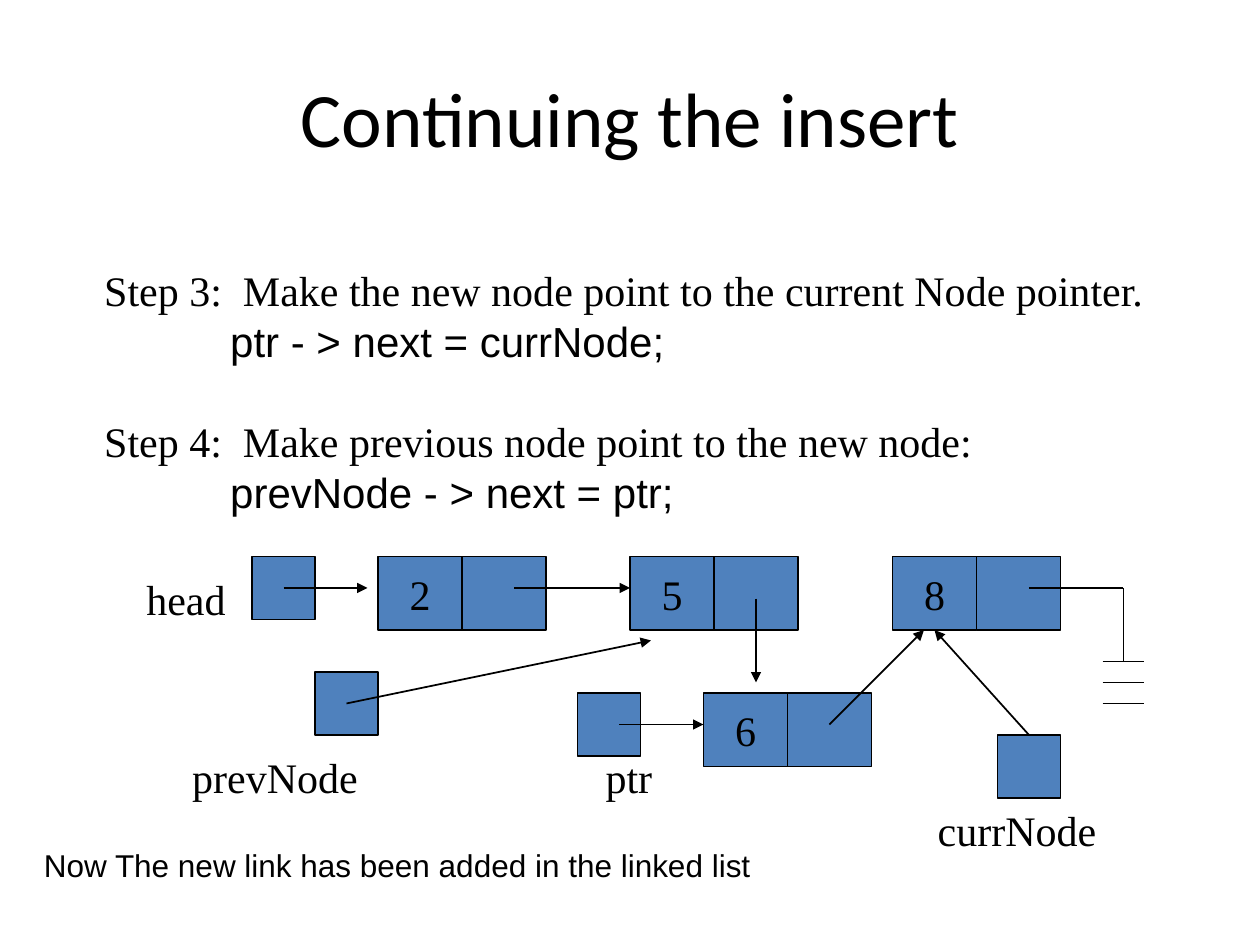
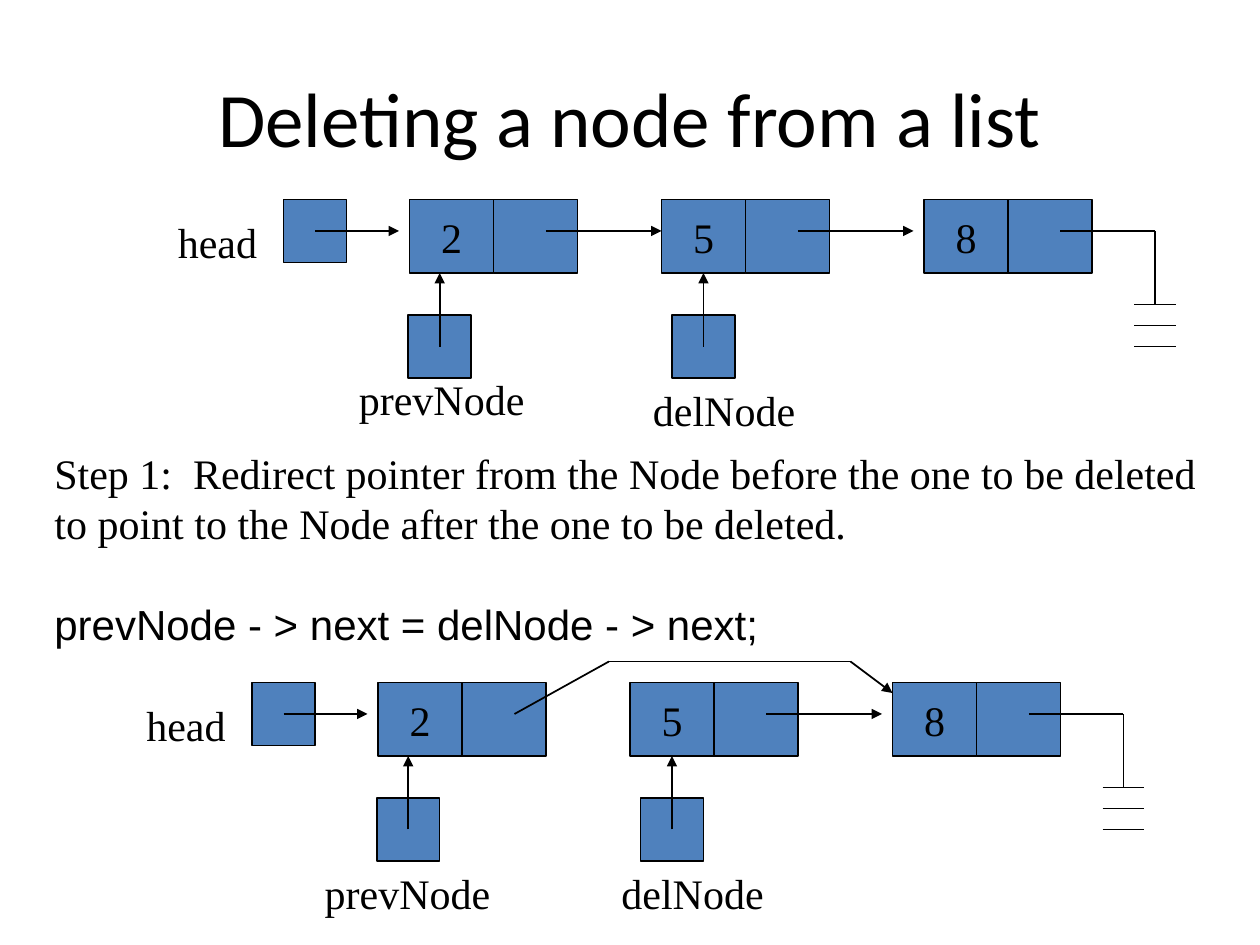
"""Build two slides on inserting into and deleting from a linked list."""
from lxml import etree
from pptx import Presentation
from pptx.dml.color import RGBColor
from pptx.enum.shapes import MSO_CONNECTOR, MSO_SHAPE
from pptx.enum.text import MSO_ANCHOR, PP_ALIGN
from pptx.oxml.ns import qn
from pptx.util import Pt

PX = 9525
RECTANGLE = MSO_SHAPE.RECTANGLE
STRAIGHT = MSO_CONNECTOR.STRAIGHT
MIDDLE = MSO_ANCHOR.MIDDLE
LEFT, CENTER = PP_ALIGN.LEFT, PP_ALIGN.CENTER
BLACK, BLUE = "000000", "4F81BD"
SERIF, SANS, HEADING = "Times New Roman", "Arial", "Calibri"
SQUARE, CELL_WIDTH, CELL_HEIGHT = 48, 64, 56
LABEL_WIDTHS = {"head": 84, "prevNode": 152, "currNode": 146, "delNode": 134, "ptr": 60}
NODE_OFFSETS = {"2": 96, "5": 288, "8": 488}
TITLE_ONLY = 5


def add_box(page, place, lines=(), filled=False, size=24):
    place = [length * PX for length in place]
    if filled:
        box = page.shapes.add_shape(RECTANGLE, *place)
        box.shadow.inherit = False
        box.fill.solid()
        box.fill.fore_color.rgb = RGBColor.from_string(BLUE)
        box.line.color.rgb = RGBColor.from_string(BLACK)
        box.line.width = Pt(1)
        box.text_frame.vertical_anchor = MIDDLE
    else:
        box = page.shapes.add_textbox(*place)
    frame = box.text_frame
    frame.word_wrap = True
    for number, (text, font, indent, gap) in enumerate(lines):
        para = frame.add_paragraph() if number else frame.paragraphs[0]
        para._p.get_or_add_pPr().set("marL", str(indent * PX))
        formats = {"alignment": CENTER if filled else LEFT, "line_spacing": Pt(size * 1.2)}
        if gap:
            formats["space_before"] = Pt(gap)
        for name, value in formats.items():
            setattr(para, name, value)
        span = para.add_run()
        span.text = text
        for name, value in {"name": font, "size": Pt(size)}.items():
            setattr(span.font, name, value)
        span.font.color.rgb = RGBColor.from_string(BLACK)


def add_line(page, start, end, arrow=True):
    line = page.shapes.add_connector(STRAIGHT, *[value * PX for value in (*start, *end)])
    line.line.color.rgb = RGBColor.from_string(BLACK)
    line.line.width = Pt(1)
    if arrow:
        etree.SubElement(line.line._get_or_add_ln(), qn("a:tailEnd"), type="triangle")
    etree.SubElement(line._element.spPr, qn("a:effectLst"))


pages = [
    {
        "title": "Continuing the insert",
        "lists": [(192, 424, ["2"])],
        "extra_nodes": [("6", 536, 528)],
        "pointers": [
            ("prevNode", (240, 512), (137, 568), (264, 536), (496, 488)),
            ("ptr", (440, 528), (452, 568), (472, 552), (536, 552)),
            ("currNode", (760, 560), (705, 608), (784, 560), (712, 480)),
        ],
        "links": [[(576, 456), (576, 520)], [(632, 552), (704, 480)]],
        "texts": [
            ((70, 197, 890, 202), 24, [
                ("Step 3:  Make the new node point to the current Node pointer.", SERIF, 0, 0),
                ("ptr - > next = currNode;", SANS, 96, 0),
                ("Step 4:  Make previous node point to the new node:", SERIF, 0, 28.8),
                ("prevNode - > next = ptr;", SANS, 96, 0),
            ]),
            ((24, 640, 672, 38), 18, [
                ("Now The new link has been added in the linked list", SANS, 0, 0),
            ]),
        ],
    },
    {
        "title": "Deleting a node from a list",
        "lists": [(216, 152, ["2", "5"]), (192, 520, ["5"])],
        "extra_nodes": [],
        "pointers": [
            ("prevNode", (311, 240), (264, 280), (335, 264), (335, 208)),
            ("delNode", (512, 240), (488, 288), (536, 264), (536, 208)),
            ("prevNode", (287, 608), (238, 656), (311, 632), (311, 576)),
            ("delNode", (488, 608), (464, 656), (512, 632), (512, 576)),
        ],
        "links": [[(392, 544), (464, 504), (648, 504), (680, 528)]],
        "texts": [
            ((32, 336, 890, 163), 24, [
                ("Step 1:  Redirect pointer from the Node before the one to be deleted "
                 "to point to the Node after the one to be deleted.", SERIF, 0, 0),
                ("prevNode - > next = delNode - > next;", SANS, 0, 28.8),
            ]),
        ],
    },
]

deck = Presentation()
deck.slide_width, deck.slide_height = 960 * PX, 720 * PX

for content in pages:
    page = deck.slides.add_slide(deck.slide_layouts[TITLE_ONLY])
    title = page.shapes.title
    for name, value in {"left": 48, "top": 29, "width": 864, "height": 120}.items():
        setattr(title, name, value * PX)
    title.text_frame.text = content["title"]
    title.text_frame.vertical_anchor = MIDDLE
    para = title.text_frame.paragraphs[0]
    para.alignment = CENTER
    for name, value in {"name": HEADING, "size": Pt(44)}.items():
        setattr(para.font, name, value)
    para.font.color.rgb = RGBColor.from_string(BLACK)

    for place, size, lines in content["texts"]:
        add_box(page, place, lines, size=size)

    nodes = list(content["extra_nodes"])
    for left, top, _ in content["lists"]:
        nodes += [(value, left + offset, top) for value, offset in NODE_OFFSETS.items()]
    for value, left, top in nodes:
        add_box(page, (left, top, CELL_WIDTH, CELL_HEIGHT), [(value, SERIF, 0, 0)], filled=True)
        add_box(page, (left + CELL_WIDTH, top, CELL_WIDTH, CELL_HEIGHT), filled=True)

    for left, top, linked in content["lists"]:
        middle, ground = top + 24, top + 80
        add_box(page, (left, top, SQUARE, SQUARE), filled=True)
        add_box(page, (left - 90, top + 8, LABEL_WIDTHS["head"], 48), [("head", SERIF, 0, 0)])
        add_line(page, (left + 24, middle), (left + 88, middle))
        for value in linked:
            start = left + NODE_OFFSETS[value] + 104
            add_line(page, (start, middle), (start + 88, middle))
        drop = left + 664
        add_line(page, (left + 592, middle), (drop, middle), arrow=False)
        add_line(page, (drop, middle), (drop, ground), arrow=False)
        for step in range(3):
            level = ground + 16 * step
            add_line(page, (drop - 16, level), (drop + 16, level), arrow=False)

    for name, square, label, start, end in content["pointers"]:
        add_box(page, (*square, SQUARE, SQUARE), filled=True)
        add_box(page, (*label, LABEL_WIDTHS[name], 48), [(name, SERIF, 0, 0)])
        add_line(page, start, end)

    for points in content["links"]:
        for start, end in zip(points, points[1:]):
            add_line(page, start, end, arrow=end == points[-1])

deck.save("out.pptx")
